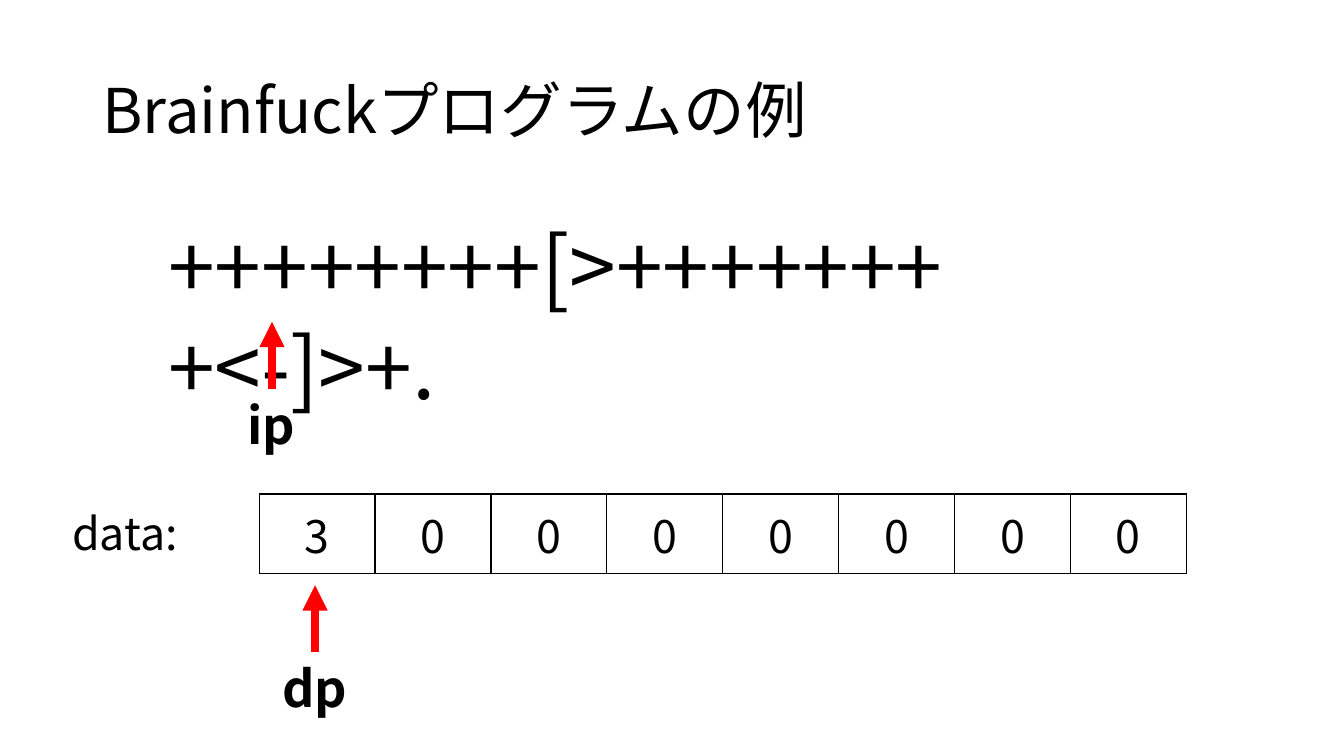
from lxml import etree
from pptx import Presentation
from pptx.dml.color import RGBColor
from pptx.enum.shapes import MSO_CONNECTOR
from pptx.enum.text import MSO_ANCHOR, PP_ALIGN
from pptx.oxml.ns import qn
from pptx.util import Cm, Pt

FONT = "Noto Sans CJK JP"
BLACK, RED = "000000", "FF0000"
MIDDLE, TOP = MSO_ANCHOR.MIDDLE, MSO_ANCHOR.TOP
CENTER = PP_ALIGN.CENTER
STRAIGHT = MSO_CONNECTOR.STRAIGHT


def color(value):
    """Turn a hex string into a colour."""
    return RGBColor.from_string(value)


def style(para, size, bold=False):
    """Set the font of a paragraph for Latin and Japanese text."""
    font = para.font
    font.size, font.bold, font.name = Pt(size), bold, FONT
    font.color.rgb = color(BLACK)
    props = para._p.find(".//" + qn("a:defRPr"))
    etree.SubElement(props, qn("a:ea"), typeface=FONT)


def label(shapes, box, text, size, bold=False, anchor=TOP, spacing=None):
    """Place one line of text in a box."""
    shape = shapes.add_textbox(*map(Cm, box))
    frame = shape.text_frame
    frame.word_wrap = True
    frame.vertical_anchor = anchor
    para = frame.paragraphs[0]
    para.text = text
    para.line_spacing = spacing
    style(para, size, bold)
    return shape


def border(cell):
    """Draw a thin black line on each side of a cell."""
    props = cell._tc.get_or_add_tcPr()
    for spot, side in enumerate(("a:lnL", "a:lnR", "a:lnT", "a:lnB")):
        line = etree.Element(qn(side), w=str(Pt(1)))
        fill = etree.SubElement(line, qn("a:solidFill"))
        etree.SubElement(fill, qn("a:srgbClr"), val=BLACK)
        props.insert(spot, line)


def memory(shapes, box, values):
    """Place the data cells as a table of one row."""
    left, top, width, height = map(Cm, box)
    table = shapes.add_table(1, len(values), left, top, width, height).table
    table.first_row = table.horz_banding = False
    table.rows[0].height = height
    for col, value in enumerate(values):
        table.columns[col].width = width // len(values)
        cell = table.cell(0, col)
        cell.fill.background()
        cell.vertical_anchor = MIDDLE
        para = cell.text_frame.paragraphs[0]
        para.text = str(value)
        para.alignment = CENTER
        style(para, 32)
        border(cell)


def pointer(shapes, box, text):
    """Place a named pointer with its arrow above the name."""
    left, top, width, height = box
    rise = 1.69
    group = shapes.add_group_shape().shapes
    name = label(group, (left, top + rise, width, height - rise), text, 36, True)
    mid = Cm(left + width / 2)
    arrow = group.add_connector(STRAIGHT, mid, Cm(top + rise), mid, Cm(top))
    arrow.begin_connect(name, 0)
    arrow.line.color.rgb = color(RED)
    arrow.line.width = Pt(6)
    etree.SubElement(arrow.line._get_or_add_ln(), qn("a:tailEnd"), type="triangle")
    etree.SubElement(arrow._element.spPr, qn("a:effectLst"))


def main():
    """Build and save the slide."""
    deck = Presentation()
    deck.slide_width, deck.slide_height = Cm(33.87), Cm(19.05)
    shapes = deck.slides.add_slide(deck.slide_layouts[6]).shapes
    label(shapes, (2.33, 1.01, 29.21, 3.68), "Brainfuckプログラムの例", 44,
          anchor=MIDDLE, spacing=0.9)
    memory(shapes, (6.53, 12.45, 23.37, 2), [3] + [0] * 7)
    label(shapes, (3.99, 5.28, 25.9, 2.82), "++++++++[>++++++++<-]>+.", 60)
    label(shapes, (1.57, 12.62, 3.86, 1.62), "data:", 32)
    pointer(shapes, (6.86, 14.75, 2.16, 3.49), "dp")
    pointer(shapes, (5.98, 8.11, 1.75, 3.49), "ip")
    deck.save("out.pptx")


if __name__ == "__main__":
    main()
